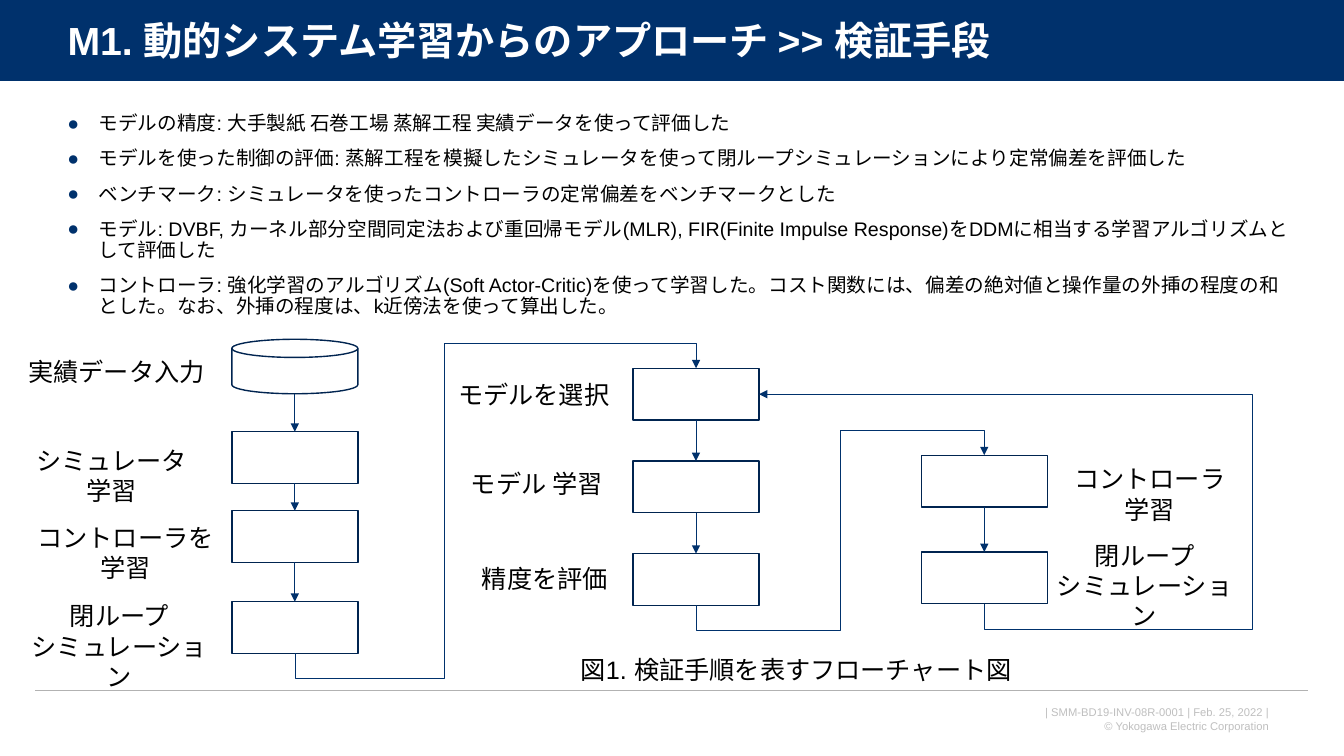
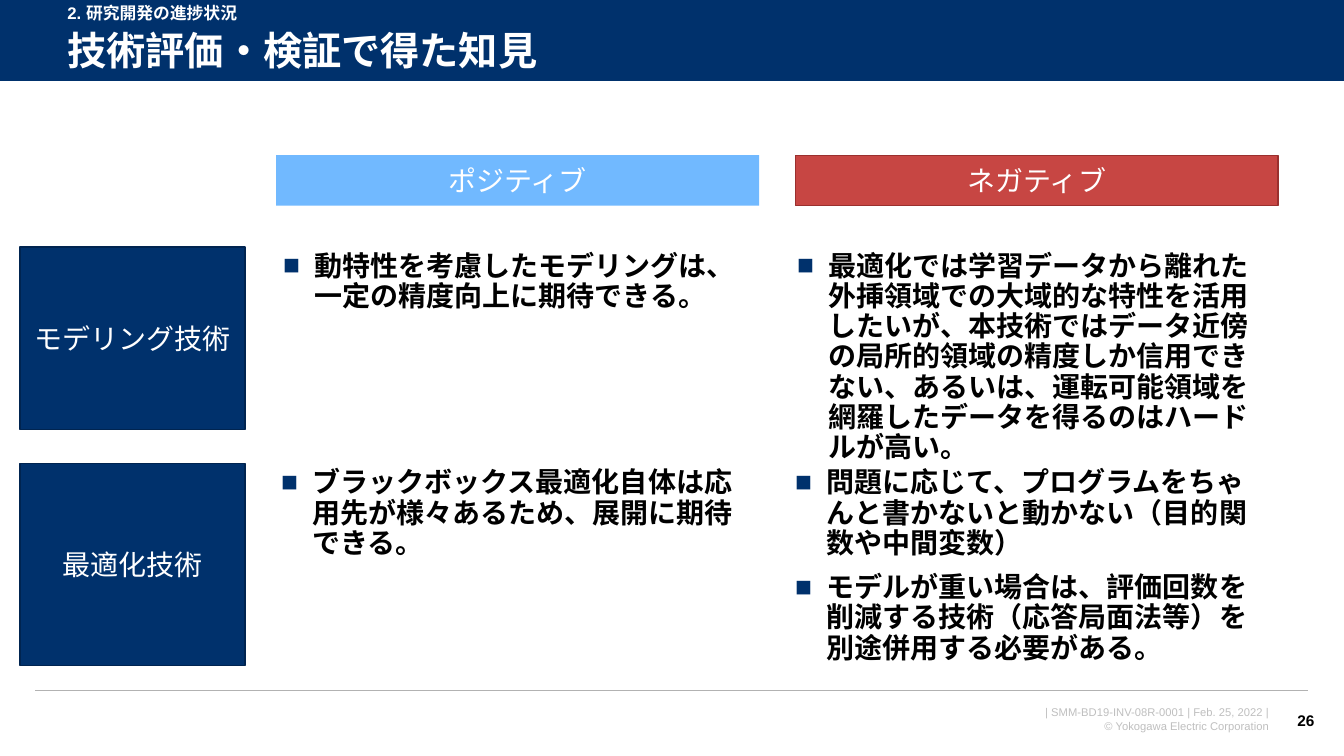
"""Build two slides on a flowchart of test steps and on lessons learned."""
from dataclasses import dataclass

from lxml import etree
from pptx import Presentation, util as u
from pptx.dml import color
from pptx.enum import shapes, text
from pptx.oxml import ns

CELL = u.Inches(1) / 3
COLS, ROWS = 40, 22.5
NAVY, EDGE, WHITE, BLACK = "00316C", "002450", "FFFFFF", "000000"
GRAY, RULE, BLUE, RED, RUST = "BFBFBF", "B2B2B2", "71B9FF", "C74643", "9A302E"
FONT = "Arial"
LEFT, MID, RIGHT = text.PP_ALIGN.LEFT, text.PP_ALIGN.CENTER, text.PP_ALIGN.RIGHT
RECT = shapes.MSO_SHAPE.RECTANGLE
STEP = shapes.MSO_SHAPE.FLOWCHART_PROCESS
DISK = shapes.MSO_SHAPE.FLOWCHART_MAGNETIC_DISK
DROP = 0.75


@dataclass(frozen=True)
class Area:
    x: float
    y: float
    w: float
    h: float

    @property
    def top(self) -> tuple[float, float]:
        return self.x + self.w / 2, self.y

    @property
    def foot(self) -> tuple[float, float]:
        return self.x + self.w / 2, self.y + self.h

    @property
    def side(self) -> tuple[float, float]:
        return self.x + self.w, self.y + self.h / 2


@dataclass(frozen=True)
class Style:
    size: float
    tint: str = BLACK
    bold: bool = False
    align: text.PP_ALIGN = LEFT
    lead: float = 1.0
    gap: float = 0
    mark: str = ""


@dataclass(frozen=True)
class Label:
    x: float
    y: float
    w: float
    lines: tuple[str, ...]


HEAD = Style(28, WHITE, True, lead=0.9)
ABOVE = Style(12, WHITE, True, lead=0.9)
LIST = Style(14, lead=0.9, gap=10, mark="●")
POINT = Style(20, bold=True, lead=0.9, gap=10, mark="■")
TAG = Style(18, align=MID)
BLOCK = Style(20, WHITE, align=MID)
FOOT = Style(8, GRAY, align=RIGHT)
PAGE = Style(11, bold=True, align=RIGHT)

FACTS = (
    "モデルの精度: 大手製紙 石巻工場 蒸解工程 実績データを使って評価した",
    "モデルを使った制御の評価: 蒸解工程を模擬したシミュレータを使って閉ループシミュレーションにより定常偏差を評価した",
    "ベンチマーク: シミュレータを使ったコントローラの定常偏差をベンチマークとした",
    "モデル: DVBF, カーネル部分空間同定法および重回帰モデル(MLR), FIR(Finite Impulse Response)をDDMに相当する学習アルゴリズムとして評価した",
    "コントローラ: 強化学習のアルゴリズム(Soft Actor-Critic)を使って学習した。コスト関数には、偏差の絶対値と操作量の外挿の程度の和とした。なお、外挿の程度は、k近傍法を使って算出した。",
)
LOOP = ("閉ループ", "シミュレーション")
LABELS = (
    Label(0.48, 10.47, 5.97, ("実績データ入力",)),
    Label(0.33, 13.11, 5.97, ("シミュレータ 学習",)),
    Label(0.75, 15.39, 5.97, ("コントローラを学習",)),
    Label(0.57, 17.73, 5.97, LOOP),
    Label(13.23, 11.13, 5.31, ("モデルを選択",)),
    Label(13.32, 13.8, 5.31, ("モデル 学習",)),
    Label(13.56, 16.62, 5.31, ("精度を評価",)),
    Label(31.23, 13.65, 5.97, ("コントローラ 学習",)),
    Label(31.08, 15.93, 5.97, LOOP),
    Label(16.59, 19.32, 14.22, ("図1. 検証手順を表すフローチャート図",)),
)
CHAINS = (
    (6.9, (10.1, 12.85, 15.2, 17.91)),
    (18.84, tuple(10.96 + 2.76 * i for i in range(3))),
    (27.42, (13.55, 16.43)),
)
HEADS = (
    (8.22, "ポジティブ", BLUE, None),
    (23.67, "ネガティブ", RED, RUST),
)
THEMES = (
    (7.35, 5.43, "モデリング技術", (
        (8.13, ("動特性を考慮したモデリングは、一定の精度向上に期待できる。",)),
        (23.43, ("最適化では学習データから離れた外挿領域での大域的な特性を活用したいが、本技術ではデータ近傍の局所的領域の精度しか信用できない、あるいは、運転可能領域を網羅したデータを得るのはハードルが高い。",)),
    )),
    (13.8, 6, "最適化技術", (
        (8.07, ("ブラックボックス最適化自体は応用先が様々あるため、展開に期待できる。",)),
        (23.37, (
            "問題に応じて、プログラムをちゃんと書かないと動かない（目的関数や中間変数）",
            "モデルが重い場合は、評価回数を削減する技術（応答局面法等）を別途併用する必要がある。",
        )),
    )),
)


def grid(n: float) -> u.Emu:
    return u.Emu(round(n * CELL))


def paint(code: str) -> color.RGBColor:
    return color.RGBColor.from_string(code)


def node(root, tag: str, **attrs: str):
    return etree.SubElement(root, ns.qn(tag), **attrs)


def bullet(para, mark: str) -> None:
    props = para._p.get_or_add_pPr()
    hang = u.Inches(0.31)
    props.set("marL", str(hang))
    props.set("indent", str(-hang))
    node(node(props, "a:buClr"), "a:srgbClr", val=NAVY)
    node(props, "a:buFont", typeface=FONT)
    node(props, "a:buChar", char=mark)


def write(frame, lines: tuple[str, ...], style: Style, mid: bool = False) -> None:
    frame.word_wrap = True
    frame.auto_size = text.MSO_AUTO_SIZE.NONE
    frame.vertical_anchor = text.MSO_ANCHOR.MIDDLE if mid else text.MSO_ANCHOR.TOP
    for i, line in enumerate(lines):
        para = frame.add_paragraph() if i else frame.paragraphs[0]
        if style.mark:
            bullet(para, style.mark)
        para.alignment = style.align
        para.line_spacing = style.lead
        para.space_before = u.Pt(style.gap if i else 0)
        run = para.add_run()
        run.text = line
        run.font.name, run.font.size = FONT, u.Pt(style.size)
        run.font.bold = style.bold
        run.font.color.rgb = paint(style.tint)


def place(area: Area) -> tuple[u.Emu, ...]:
    return tuple(grid(n) for n in (area.x, area.y, area.w, area.h))


def note(slide, area: Area, lines: tuple[str, ...], style: Style, mid: bool = False):
    box = slide.shapes.add_textbox(*place(area))
    write(box.text_frame, lines, style, mid)
    return box


def block(slide, area: Area, fill: str, edge: str | None = None,
          words: str = "", kind=RECT) -> None:
    shape = slide.shapes.add_shape(kind, *place(area))
    shape.shadow.inherit = False
    shape.fill.solid()
    shape.fill.fore_color.rgb = paint(fill)
    if edge:
        shape.line.color.rgb = paint(edge)
        shape.line.width = u.Pt(1)
    else:
        shape.line.fill.background()
    if words:
        write(shape.text_frame, (words,), BLOCK, True)


def line(slide, start: tuple[float, float], end: tuple[float, float], tint: str = NAVY,
         width: float = 0.5, arrow: bool = True, kind=shapes.MSO_CONNECTOR.STRAIGHT):
    link = slide.shapes.add_connector(kind, *(grid(n) for n in (*start, *end)))
    link.line.color.rgb = paint(tint)
    link.line.width = u.Pt(width)
    if arrow:
        node(link.line._get_or_add_ln(), "a:tailEnd", type="triangle")
    node(link._element.spPr, "a:effectLst")
    return link


def climb(slide, start: tuple[float, float], end: tuple[float, float],
          lane: float, over: bool = True) -> None:
    (x0, y0), (x1, y1) = start, end
    rise, run = y0 - y1, abs(x1 - x0)
    left, top = (x0 + x1 - rise) / 2, (y0 + y1 - run) / 2
    link = line(slide, (left, top), (left + rise, top + run),
                kind=shapes.MSO_CONNECTOR.ELBOW)
    props = link._element.spPr
    frame = props.find(ns.qn("a:xfrm"))
    frame.set("rot", "5400000")
    frame.set("flipH", "1")
    if x1 > x0:
        frame.set("flipV", "1")
    bends = [-DROP / rise, (lane - x0) / (x1 - x0)]
    if over:
        bends.append(1 + DROP / rise)
    form = props.find(ns.qn("a:prstGeom"))
    form.set("prst", f"bentConnector{len(bends) + 2}")
    guides = form.find(ns.qn("a:avLst"))
    for i, bend in enumerate(bends, 1):
        node(guides, "a:gd", name=f"adj{i}", fmla=f"val {round(bend * 100000)}")


def start(deck, title: str, y: float):
    slide = deck.slides.add_slide(deck.slide_layouts[5])
    block(slide, Area(0, 0, COLS, 2.42), NAVY)
    line(slide, (0, 2.42), (COLS, 2.42), WHITE, 0.75, False)
    line(slide, (1.05, 20.55), (38.94, 20.55), RULE, 1, False)
    note(slide, Area(28.44, 20.85, 9.63, 1.11),
         ("| SMM-BD19-INV-08R-0001 | Feb. 25, 2022 |", "© Yokogawa Electric Corporation"), FOOT)
    head = slide.shapes.title
    head.left, head.top, head.width, head.height = place(Area(1.71, y, 37.4, 1.71))
    write(head.text_frame, (title,), HEAD, True)
    slide.shapes._spTree.append(head._element)
    return slide


def flow(deck) -> None:
    slide = start(deck, "M1. 動的システム学習からのアプローチ >> 検証手段", 0.42)
    note(slide, Area(1.71, 3.24, 37.2, 6.3), FACTS, LIST)
    chains = [[Area(x, y, 3.75, 1.54) for y in tops] for x, tops in CHAINS]
    first = chains[0][0]
    chains[0][0] = Area(first.x, first.y, first.w, 1.62)
    for i, chain in enumerate(chains):
        for j, area in enumerate(chain):
            block(slide, area, WHITE, EDGE, kind=STEP if i or j else DISK)
        for a, b in zip(chain, chain[1:]):
            line(slide, a.foot, b.top)
    data, model, control = chains
    climb(slide, data[-1].foot, model[0].top, 13.23)
    climb(slide, model[-1].foot, control[0].top, 25.02)
    climb(slide, control[-1].foot, model[0].side, 37.26, False)
    for tag in LABELS:
        note(slide, Area(tag.x, tag.y, tag.w, 1.2 * len(tag.lines)), tag.lines, TAG)


def review(deck) -> None:
    slide = start(deck, "技術評価・検証で得た知見", 0.72)
    page = note(slide, Area(38.1, 20.85, 1.32, 1.2), ("26",), PAGE, True)
    page.text_frame.word_wrap = False
    note(slide, Area(1.71, 0, 10.5, 0.84), ("2. 研究開発の進捗状況",), ABOVE)
    for x, words, fill, edge in HEADS:
        block(slide, Area(x, 4.62, 14.37, 1.5), fill, edge, words)
    for y, h, words, cells in THEMES:
        block(slide, Area(0.6, y, 6.69, h), NAVY, EDGE, words)
        for x, points in cells:
            note(slide, Area(x, y, 14.67, 1.92), points, POINT)


def main() -> None:
    deck = Presentation()
    deck.slide_width, deck.slide_height = grid(COLS), grid(ROWS)
    flow(deck)
    review(deck)
    deck.save("out.pptx")


if __name__ == "__main__":
    main()
